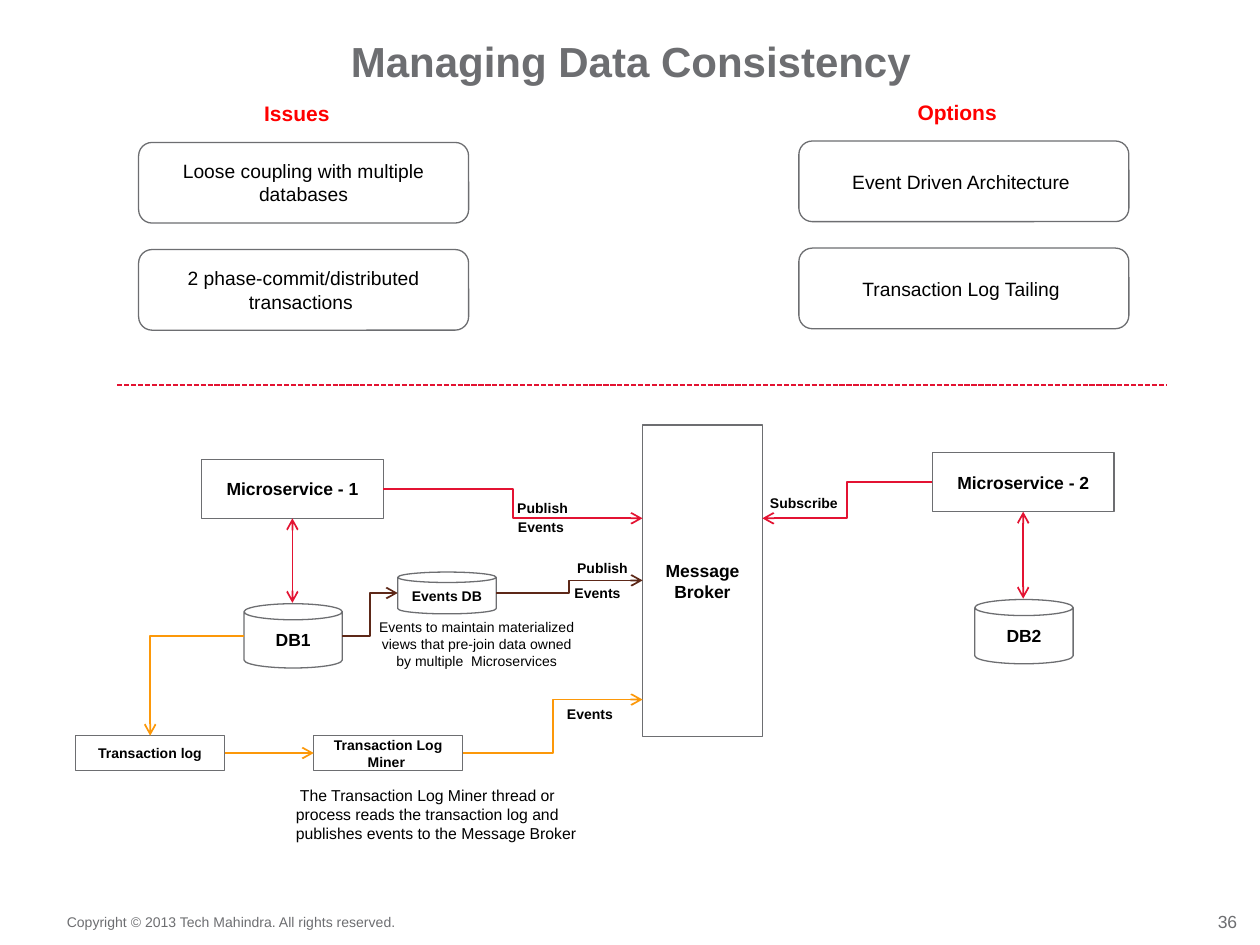
"""Build the slide on managing data consistency between microservices."""
from dataclasses import dataclass

from pptx import Presentation
from pptx.dml.color import RGBColor
from pptx.enum.dml import MSO_LINE_DASH_STYLE as DASH
from pptx.enum.shapes import MSO_CONNECTOR as CXN, MSO_SHAPE as SHAPE
from pptx.enum.text import MSO_ANCHOR as ANCHOR, MSO_AUTO_SIZE as AUTO, PP_ALIGN as ALIGN
from pptx.oxml.ns import qn
from pptx.util import Pt
from lxml.etree import SubElement

COLORS = {
    "gray": "6D6E71", "white": "FFFFFF", "black": "000000", "heading": "FF0000",
    "red": "E31332", "orange": "FC9809", "brown": "5D2818",
}
INSET, NO_INSET = (7.2, 3.6), (0, 0)
TOP, MIDDLE, BOTTOM, LEFT, RIGHT = ANCHOR.TOP, ANCHOR.MIDDLE, 2, 1, 3


@dataclass
class Node:
    """A bordered shape with centred text."""
    text: str
    kind: int
    x: float
    y: float
    w: float
    h: float
    size: float = 10
    bold: bool = True


@dataclass
class Label:
    """A free text box."""
    text: str
    x: float
    y: float
    w: float
    h: float
    size: float = 8
    bold: bool = True
    color: str = "black"
    align: int = ALIGN.LEFT
    inset: tuple = NO_INSET
    wrap: bool = True
    anchor: int = TOP


@dataclass
class Link:
    """A connector between two points."""
    color: str
    start: tuple
    end: tuple
    kind: int = CXN.ELBOW
    preset: str = ""
    ends: tuple = ("tailEnd",)
    dash: int | None = None


def rgb(name: str) -> RGBColor:
    """Return a palette colour."""
    return RGBColor.from_string(COLORS[name])


def write(tf, text: str, size: float, bold: bool, color: str, align: int,
          inset: tuple, anchor: int, wrap: bool = True) -> None:
    """Fill a text frame with one formatted paragraph."""
    dx, dy = (Pt(v) for v in inset)
    frame = {"auto_size": AUTO.NONE, "word_wrap": wrap, "vertical_anchor": anchor,
             "margin_left": dx, "margin_right": dx, "margin_top": dy, "margin_bottom": dy}
    for key, value in frame.items():
        setattr(tf, key, value)
    p = tf.paragraphs[0]
    p.alignment = align
    r = p.add_run()
    r.text = text
    for key, value in {"name": "Arial", "size": Pt(size), "bold": bold}.items():
        setattr(r.font, key, value)
    r.font.color.rgb = rgb(color)


def draw_node(s, node: Node):
    """Draw a node and return its shape."""
    sp = s.shapes.add_shape(node.kind, Pt(node.x), Pt(node.y), Pt(node.w), Pt(node.h))
    sp.shadow.inherit = False
    sp.fill.solid()
    sp.fill.fore_color.rgb = rgb("white")
    sp.line.color.rgb = rgb("gray")
    sp.line.width = Pt(0.75)
    write(sp.text_frame, node.text, node.size, node.bold, "black", ALIGN.CENTER, INSET, MIDDLE)
    return sp


def draw_label(s, label: Label) -> None:
    """Draw a text box."""
    sp = s.shapes.add_textbox(Pt(label.x), Pt(label.y), Pt(label.w), Pt(label.h))
    write(sp.text_frame, label.text, label.size, label.bold, label.color, label.align,
          label.inset, label.anchor, label.wrap)


def draw_link(s, link: Link):
    """Draw a connector and return it."""
    cx = s.shapes.add_connector(link.kind, *(Pt(v) for v in link.start + link.end))
    cx.line.color.rgb = rgb(link.color)
    cx.line.width = Pt(1)
    if link.dash:
        cx.line.dash_style = link.dash
    sp_pr = cx._element.spPr
    if link.preset:
        sp_pr.find(qn("a:prstGeom")).set("prst", link.preset)
    for end in link.ends:
        SubElement(sp_pr.find(qn("a:ln")), qn(f"a:{end}"), type="arrow")
    SubElement(sp_pr, qn("a:effectLst"))
    return cx


def build() -> None:
    """Create and save the slide."""
    prs = Presentation()
    prs.slide_width, prs.slide_height = Pt(720), Pt(540)
    s = prs.slides.add_slide(prs.slide_layouts[5])

    title = s.shapes.title
    box = {"left": 11.5, "top": 20.2, "width": 698, "height": 29}
    for key, value in box.items():
        setattr(title, key, Pt(value))
    write(title.text_frame, "Managing Data Consistency", 24, True, "gray",
          ALIGN.CENTER, NO_INSET, TOP)

    columns = [
        ("Issues ", 79.2, 81.4,
         ["Loose coupling with multiple databases", "2 phase-commit/distributed transactions "]),
        ("Options ", 456.5, 80.6, ["Event Driven Architecture ", "Transaction Log Tailing "]),
    ]
    for heading, x, y, cards in columns:
        draw_label(s, Label(heading, x + 36, y - 23.8, 112.3, 14.4, 12,
                            color="heading", align=ALIGN.CENTER))
        for i, card in enumerate(cards):
            draw_node(s, Node(card, SHAPE.ROUNDED_RECTANGLE, x, y + i * 61.2,
                              188.6, 46.1, 11, False))

    services = [("1", 115.2, 262.4, 345), ("2", 532.8, 258.6, 342.6)]
    for number, x, y, db_y in services:
        service = draw_node(s, Node(f"Microservice - {number}", SHAPE.RECTANGLE,
                                    x, y, 103.8, 33.8))
        draw_node(s, Node(f"DB{number}", SHAPE.CAN, x + 24.2, db_y, 56.2, 36.7))
        middle = x + 51.9
        cx = draw_link(s, Link("red", (middle, y + 33.8), (middle, db_y - 0.5),
                               CXN.STRAIGHT, ends=("headEnd", "tailEnd")))
        cx.begin_connect(service, BOTTOM)

    draw_node(s, Node("Message Broker", SHAPE.RECTANGLE, 367.2, 242.8, 68.4, 178))
    draw_node(s, Node("Events DB", SHAPE.CAN, 227.3, 326.9, 56.2, 23.9, 8))
    log, miner = (draw_node(s, Node(text, SHAPE.RECTANGLE, x, 420.4, 85.2, 19.8, 8))
                  for text, x in [("Transaction log", 43.2), ("Transaction Log Miner ", 179.3)])

    cx = draw_link(s, Link("orange", (128.4, 430.3), (179.3, 430.3), CXN.STRAIGHT))
    cx.begin_connect(log, RIGHT)
    cx.end_connect(miner, LEFT)
    links = [
        Link("red", (219, 279.3), (367.2, 296.2)),
        Link("red", (532.8, 275.5), (435.6, 296.2)),
        Link("orange", (139.4, 363.4), (85.8, 420.4), preset="bentConnector2"),
        Link("orange", (264.5, 430.3), (367.2, 399.8)),
        Link("brown", (195.6, 363.4), (227.3, 338.9)),
        Link("brown", (283.5, 338.9), (367.2, 331.7)),
        Link("red", (67, 220), (667, 220), CXN.STRAIGHT, ends=(), dash=DASH.SQUARE_DOT),
    ]
    for link in links:
        draw_link(s, link)

    captions = [
        ("Publish", 295.6, 285.6), ("Events", 296, 296.2), ("Subscribe", 440, 282.8),
        ("Publish", 329.8, 319.8), ("Events", 328.3, 334), ("Events", 324, 403.2),
    ]
    for text, x, y in captions:
        draw_label(s, Label(text, x, y, 50, 9.6))

    notes = [
        Label("Events to maintain materialized views that pre-join data owned by multiple  "
              "Microservices", 209.5, 350.2, 126, 36, 8, False,
              align=ALIGN.CENTER, inset=INSET),
        Label(" The Transaction Log Miner thread or process reads the transaction log and "
              "publishes events to the Message Broker", 162, 445.7, 176.4, 40, 9, False,
              inset=INSET),
        Label("Copyright © 2013 Tech Mahindra. All rights reserved.", 38.2, 522,
              191.5, 9.6, 8, False, "gray", wrap=False),
        Label("36", 694.8, 520.6, 12.2, 12.2, 10, False, "gray", ALIGN.RIGHT,
              wrap=False, anchor=MIDDLE),
    ]
    for note in notes:
        draw_label(s, note)

    prs.save("out.pptx")


if __name__ == "__main__":
    build()
